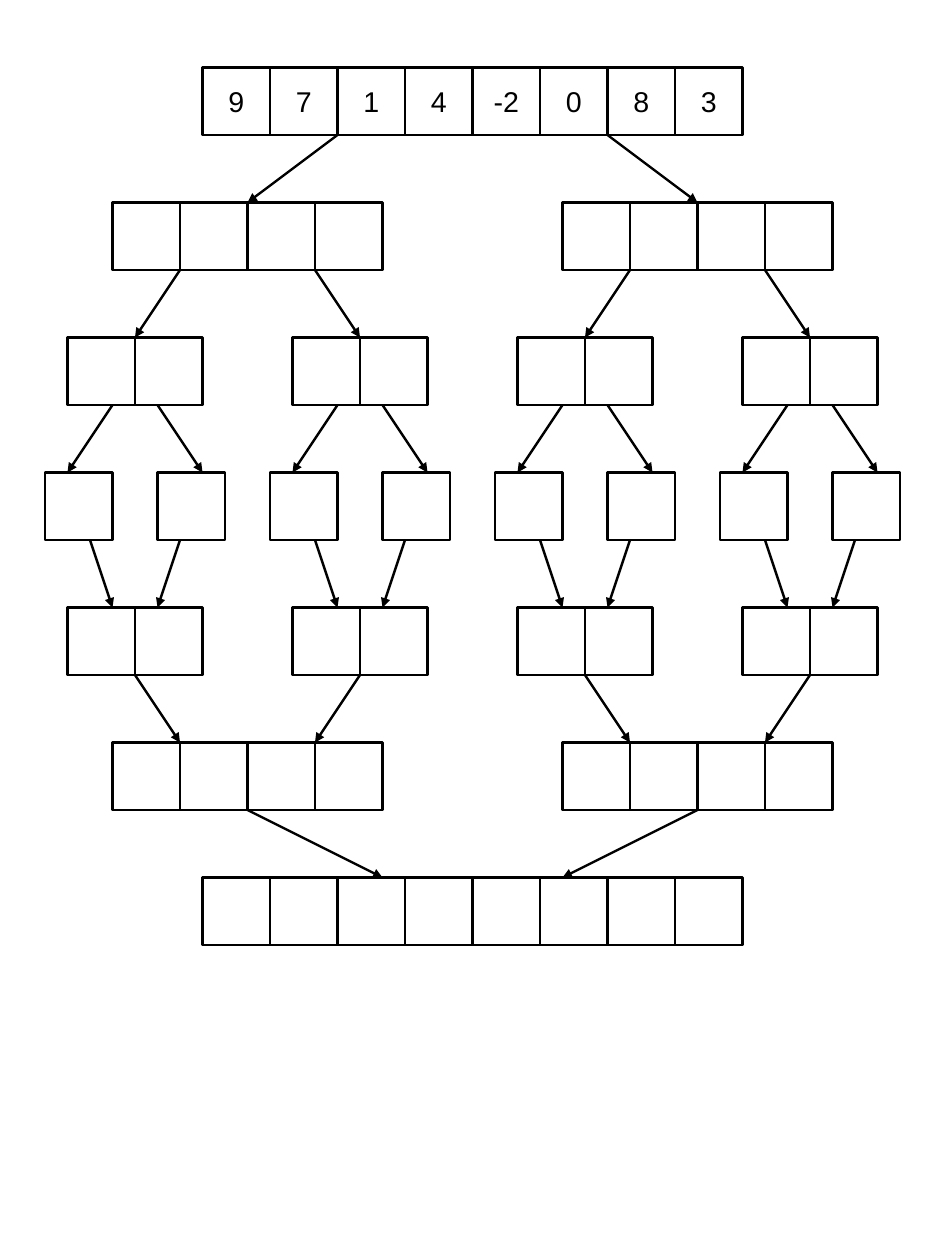
from lxml import etree
from pptx import Presentation, util as u
from pptx.dml.color import RGBColor
from pptx.enum import shapes, text
from pptx.oxml.ns import qn

SCALE = 3600
GRID = 50
CELL = 3 * GRID
STEP = 6 * GRID
MIDDLE = 1050
TOP = 150
VALUES = ["9", "7", "1", "4", "-2", "0", "8", "3"]
SPLIT_ARROWS = [(6, 10), (3, 5), (1, 3)]
MERGE_ARROWS = [(2, 1), (5, 3), (10, 4)]


def px(n):
    """Turn px into EMU."""
    return u.Emu(n * SCALE)


def color(value):
    """Turn a hex string into a colour."""
    return RGBColor.from_string(value)


def apply(target, formats):
    """Set each attribute in a dict of format values."""
    for name, value in formats.items():
        setattr(target, name, value)


class Diagram:
    """Hold the style and the current slide."""

    ink = "000000"
    paper = "FFFFFF"
    line_width = u.Pt(1.5)
    font = {"name": "Arial", "size": u.Pt(18)}
    frame = {
        "word_wrap": False, "vertical_anchor": text.MSO_ANCHOR.MIDDLE,
        "margin_left": px(28), "margin_right": px(28),
        "margin_top": px(14), "margin_bottom": px(14),
    }

    def __init__(self, prs):
        """Add a blank slide."""
        self.s = prs.slides.add_slide(prs.slide_layouts[6])

    def stroke(self, line):
        """Style an outline or an arrow."""
        line.color.rgb = color(self.ink)
        line.width = self.line_width

    def cell(self, x, y, value=""):
        """Draw one array cell."""
        sp = self.s.shapes.add_shape(
            shapes.MSO_SHAPE.RECTANGLE, px(x), px(y), px(CELL), px(CELL))
        sp.shadow.inherit = False
        sp.fill.solid()
        sp.fill.fore_color.rgb = color(self.paper)
        self.stroke(sp.line)
        if value:
            tf = sp.text_frame
            apply(tf, self.frame)
            p = tf.paragraphs[0]
            p.alignment = text.PP_ALIGN.CENTER
            r = p.add_run()
            r.text = value
            apply(r.font, self.font)
            r.font.color.rgb = color(self.ink)

    def array(self, x, y, values):
        """Draw a row of touching cells."""
        for i, value in enumerate(values):
            self.cell(x + i * CELL, y, value)

    def arrow(self, x1, y1, x2, y2):
        """Draw a line with a triangle at its end."""
        c = self.s.shapes.add_connector(
            shapes.MSO_CONNECTOR.STRAIGHT, px(x1), px(y1), px(x2), px(y2))
        self.stroke(c.line)
        etree.SubElement(c.line._get_or_add_ln(), qn("a:tailEnd"), type="triangle")
        etree.SubElement(c._element.spPr, qn("a:effectLst"))

    def arrow_pair(self, center, y, start, end):
        """Draw two arrows mirrored about a centre."""
        for side in (-GRID, GRID):
            self.arrow(center + side * start, y, center + side * end, y + STEP - CELL)


def main():
    """Build the merge sort slide."""
    prs = Presentation()
    apply(prs, {"slide_width": px(2100), "slide_height": px(2800)})
    d = Diagram(prs)

    centers = [[MIDDLE]]
    for spread in (500, 250, 125):
        centers.append([c + side for c in centers[-1] for side in (-spread, spread)])
    levels = centers + centers[-2::-1]

    for row, level in enumerate(levels):
        size = len(VALUES) // len(level)
        values = VALUES if row == 0 else [""] * size
        for center in level:
            d.array(center - size * CELL // 2, TOP + row * STEP, values)

    parents = centers[:-1] + centers[-2::-1]
    for row, (level, (start, end)) in enumerate(zip(parents, SPLIT_ARROWS + MERGE_ARROWS)):
        for center in level:
            d.arrow_pair(center, TOP + row * STEP + CELL, start, end)

    prs.save("out.pptx")


if __name__ == "__main__":
    main()
